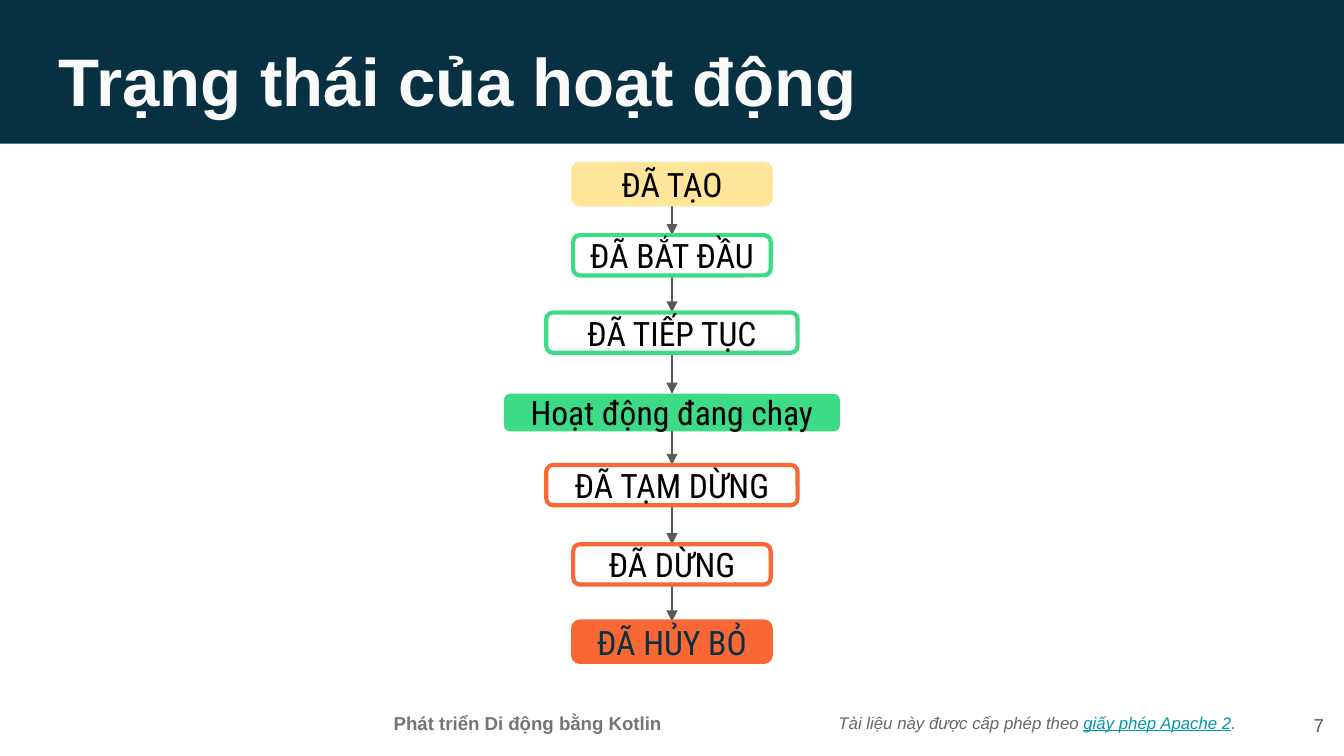
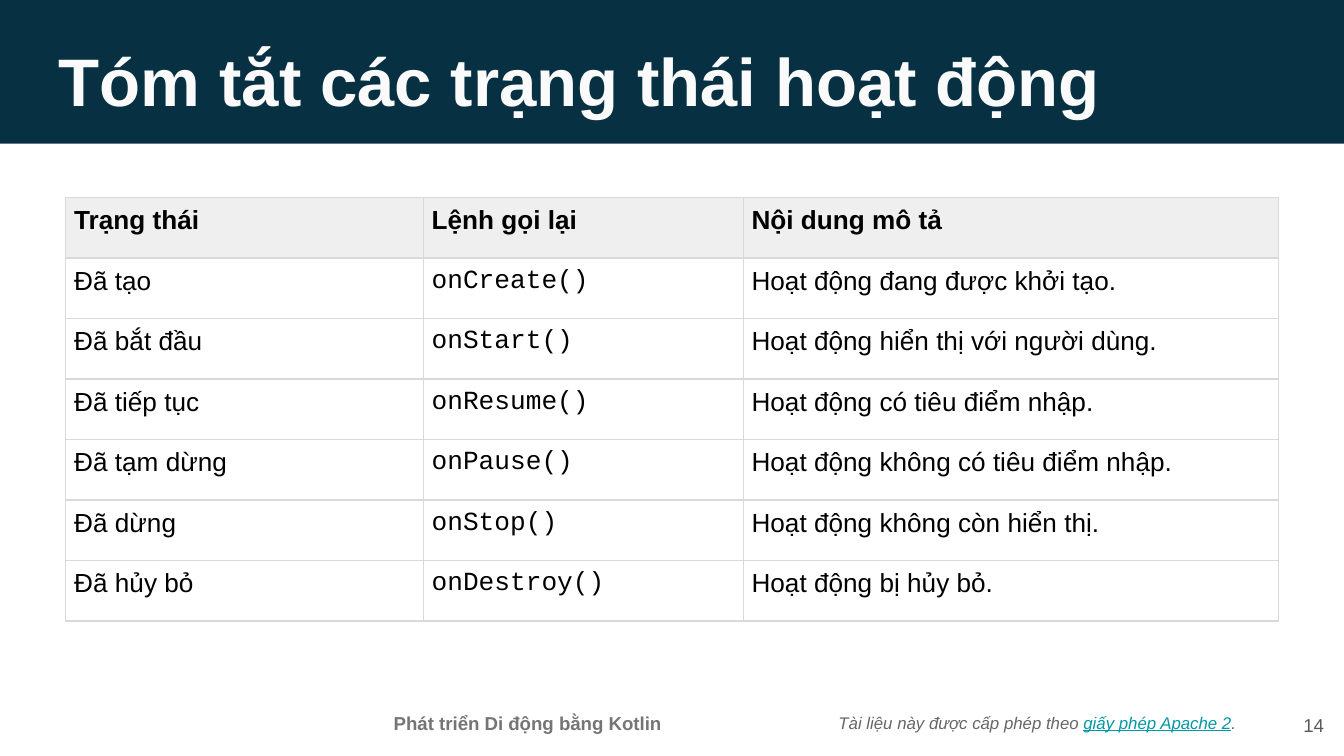
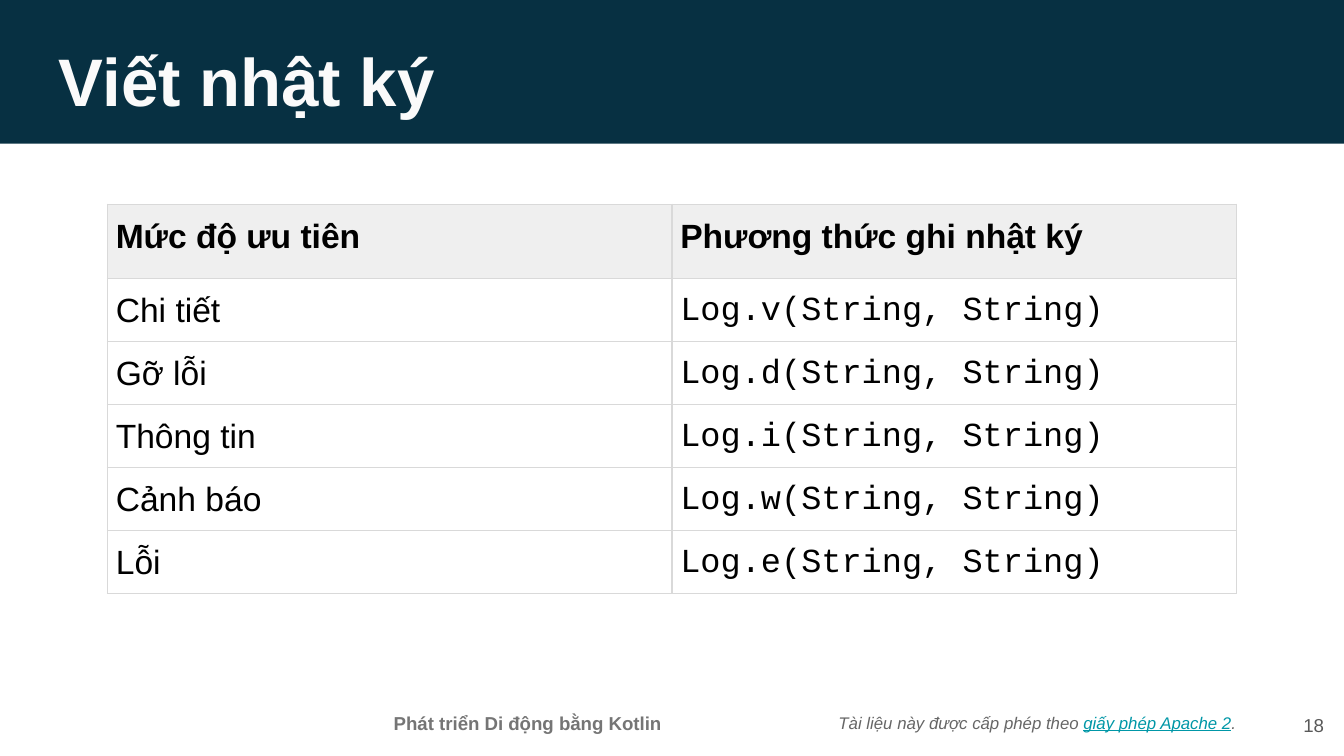
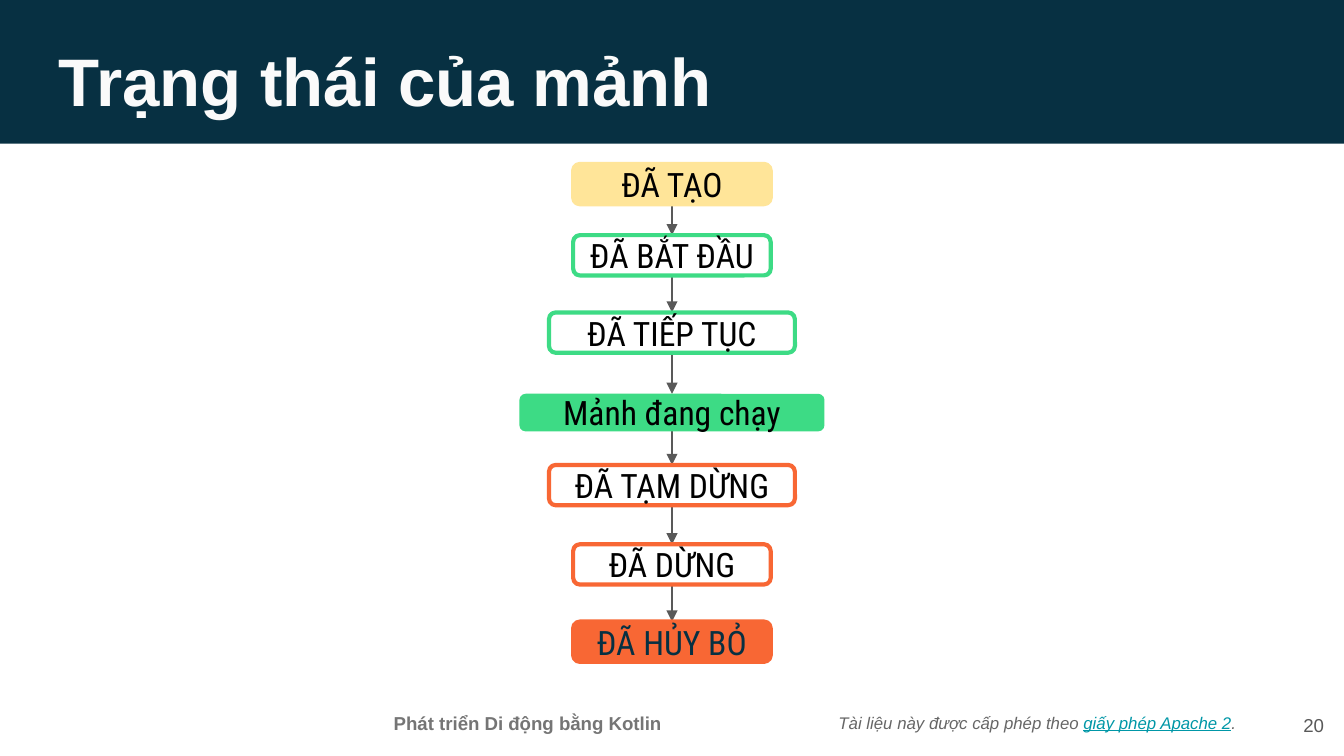
import pptx
import pptx.util
import pptx.dml.color
import pptx.enum.shapes
import pptx.enum.text
import pptx.oxml
import pptx.oxml.ns
from pptx.enum.text import MSO_ANCHOR, PP_ALIGN

# Grid: 100 columns across the slide, rows of the same size
COLS, ROWS = 100, 56.25
UNIT = pptx.util.Inches(10) / COLS

COLORS = {
    "navy": "073042", "title": "FAFAFA", "course": "757575", "note": "666666",
    "link": "0097A7", "gray": "595959", "black": "000000", "white": "FFFFFF",
    "green": "3DDB85", "yellow": "FFE599", "orange": "F86734",
    "header": "EFEFEF", "border": "D9D9D9",
}
SANS, MONO, CONDENSED = "Arial", "Courier New", "Roboto Condensed"


def u(n):
    return pptx.util.Emu(round(n * UNIT))


def rgb(name):
    return pptx.dml.color.RGBColor.from_string(COLORS[name])


def add_run(p, text, size, color, font=SANS, bold=False, italic=False, underline=None):
    r = p.add_run()
    r.text = text
    f = r.font
    f.size, f.name, f.bold, f.italic, f.underline = pptx.util.Pt(size), font, bold, italic, underline
    f.color.rgb = rgb(color)


def set_frame(tf, anchor, align, inset=1):
    tf.word_wrap = True
    tf.vertical_anchor = anchor
    tf.margin_left = tf.margin_right = tf.margin_top = tf.margin_bottom = u(inset)
    p = tf.paragraphs[0]
    p.alignment = align
    return p


def add_text(s, box, anchor=MSO_ANCHOR.TOP, align=PP_ALIGN.LEFT):
    return set_frame(s.shapes.add_textbox(*map(u, box)).text_frame, anchor, align)


def add_block(shapes, kind, box, fill, line=None):
    sp = shapes.add_shape(kind, *map(u, box))
    sp.shadow.inherit = False
    sp.fill.solid()
    sp.fill.fore_color.rgb = rgb(fill)
    if line:
        sp.line.color.rgb = rgb(line)
        sp.line.width = pptx.util.Pt(2.25)
    else:
        sp.line.fill.background()
    return sp


# Parts shared by every slide
def add_header(s, title):
    add_block(s.shapes, pptx.enum.shapes.MSO_SHAPE.RECTANGLE, (-0.1, -0.4, 100.1, 11.1), "navy")
    add_run(add_text(s, (3.4, 1.9, 93.2, 6.3)), title, 36, "title", bold=True)


def add_footer(s, number):
    p = add_text(s, (61.4, 51.4, 33.9, 4.7), MSO_ANCHOR.MIDDLE)
    add_run(p, "Tài liệu này được cấp phép theo ", 9, "note", italic=True)
    add_run(p, "giấy phép Apache 2", 9, "link", italic=True, underline=True)
    add_run(p, ".", 9, "note", italic=True)
    p = add_text(s, (25.1, 52.1, 28.3, 3.2), align=PP_ALIGN.CENTER)
    add_run(p, "Phát triển Di động bằng Kotlin", 10, "course", bold=True)
    p = add_text(s, (93.5, 51.8, 6, 4.3), MSO_ANCHOR.MIDDLE, PP_ALIGN.RIGHT)
    add_run(p, str(number), 10, "gray")


def new_slide(prs, title, number):
    s = prs.slides.add_slide(prs.slide_layouts[6])
    add_header(s, title)
    add_footer(s, number)
    return s


# Column of states joined by arrows
def add_arrow(shapes, upper, lower):
    x = upper.left + upper.width // 2
    c = shapes.add_connector(pptx.enum.shapes.MSO_CONNECTOR.STRAIGHT,
                             x, upper.top + upper.height, x, lower.top)
    c.begin_connect(upper, 2)
    c.end_connect(lower, 0)
    c.line.color.rgb = rgb("gray")
    c.line.width = pptx.util.Pt(1.5)
    ln = c.element.find(".//" + pptx.oxml.ns.qn("a:ln"))
    ns = pptx.oxml.ns.nsdecls("a")
    ln.append(pptx.oxml.parse_xml(f'<a:tailEnd {ns} type="triangle"/>'))
    ln.addnext(pptx.oxml.parse_xml(f"<a:effectLst {ns}/>"))
    return c


def add_states(s, box, running, middle_width):
    left, top, width, _ = box
    narrow, tall = 14.7, 3
    # label, offset from the top, width, height, fill, line, text colour
    states = [
        ("ĐÃ TẠO", 0, narrow, tall, "yellow", "yellow", "black"),
        ("ĐÃ BẮT ĐẦU", 5.3, narrow, tall, "white", "green", "black"),
        ("ĐÃ TIẾP TỤC", 11.05, middle_width, tall, "white", "green", "black"),
        (running, 17.1, width, 2.8, "green", None, "black"),
        ("ĐÃ TẠM DỪNG", 22.4, middle_width, tall, "white", "orange", "black"),
        ("ĐÃ DỪNG", 28.3, narrow, tall, "white", "orange", "black"),
        ("ĐÃ HỦY BỎ", 34.05, narrow, tall, "orange", "orange", "navy"),
    ]
    shapes = s.shapes.add_group_shape().shapes
    blocks = []
    for label, dy, w, h, fill, line, color in states:
        sp = add_block(shapes, pptx.enum.shapes.MSO_SHAPE.ROUNDED_RECTANGLE,
                       (left + (width - w) / 2, top + dy, w, h), fill, line)
        p = set_frame(sp.text_frame, MSO_ANCHOR.MIDDLE, PP_ALIGN.CENTER)
        add_run(p, label, 18, color, CONDENSED)
        blocks.append(sp)
    # Arrows lie behind the blocks
    for upper, lower in zip(blocks, blocks[1:]):
        arrow = add_arrow(shapes, upper, lower)
        blocks[0].element.addprevious(arrow.element)


# Bordered table with a shaded header row
def set_borders(cell):
    tc_pr = cell._tc.get_or_add_tcPr()
    for side in ("lnL", "lnR", "lnT", "lnB"):
        tc_pr.append(pptx.oxml.parse_xml(
            f'<a:{side} {pptx.oxml.ns.nsdecls("a")} w="9525"><a:solidFill>'
            f'<a:srgbClr val="{COLORS["border"]}"/></a:solidFill></a:{side}>'))


def add_grid(s, box, rows, col_widths, header_height, size, spacing=None):
    left, top, width, height = box
    row_height = (height - header_height) / (len(rows) - 1)
    table = s.shapes.add_table(len(rows), len(col_widths), *map(u, box)).table
    table.first_row = table.horz_banding = False
    for col, w in zip(table.columns, col_widths):
        col.width = u(w)
    for i, row in enumerate(rows):
        table.rows[i].height = u(row_height if i else header_height)
        for j, text in enumerate(row):
            cell = table.cell(i, j)
            cell.margin_left = cell.margin_right = u(0.62)
            cell.margin_top = cell.margin_bottom = u(0.62)
            set_borders(cell)
            if i:
                cell.fill.background()
            else:
                cell.fill.solid()
                cell.fill.fore_color.rgb = rgb("header")
            p = cell.text_frame.paragraphs[0]
            if spacing:
                p.line_spacing = spacing
            font = MONO if i and j == 1 else SANS
            add_run(p, text, size, "black", font, bold=i == 0)


# Kinds of slide
def states_slide(prs, title, number, running, running_width, middle_width):
    s = new_slide(prs, title, number)
    add_states(s, ((COLS - running_width) / 2, 12.2, running_width, 37.05), running, middle_width)


def table_slide(prs, title, number, *table):
    add_grid(new_slide(prs, title, number), *table)


def main():
    prs = pptx.Presentation()
    prs.slide_width, prs.slide_height = u(COLS), u(ROWS)

    states_slide(prs, "Trạng thái của hoạt động", 7, "Hoạt động đang chạy", 25, 18.7)

    callbacks = [
        ("Trạng thái", "Lệnh gọi lại", "Nội dung mô tả"),
        ("Đã tạo", "onCreate()", "Hoạt động đang được khởi tạo."),
        ("Đã bắt đầu", "onStart()", "Hoạt động hiển thị với người dùng."),
        ("Đã tiếp tục", "onResume()", "Hoạt động có tiêu điểm nhập."),
        ("Đã tạm dừng", "onPause()", "Hoạt động không có tiêu điểm nhập."),
        ("Đã dừng", "onStop()", "Hoạt động không còn hiển thị."),
        ("Đã hủy bỏ", "onDestroy()", "Hoạt động bị hủy bỏ."),
    ]
    table_slide(prs, "Tóm tắt các trạng thái hoạt động", 14,
                (4.9, 14.7, 90.2, 31.5), callbacks, (26.6, 23.8, 39.8), 4.5, 14)

    levels = [("Chi tiết", "v"), ("Gỡ lỗi", "d"), ("Thông tin", "i"), ("Cảnh báo", "w"), ("Lỗi", "e")]
    logs = [("Mức độ ưu tiên", "Phương thức ghi nhật ký")]
    logs += [(level, f"Log.{letter}(String, String)") for level, letter in levels]
    table_slide(prs, "Viết nhật ký", 18,
                (8, 15.2, 84, 28.25), logs, (42, 42), 5.5, 18, 1.15)

    states_slide(prs, "Trạng thái của mảnh", 20, "Mảnh đang chạy", 22.7, 18.3)
    prs.save("out.pptx")


if __name__ == "__main__":
    main()
